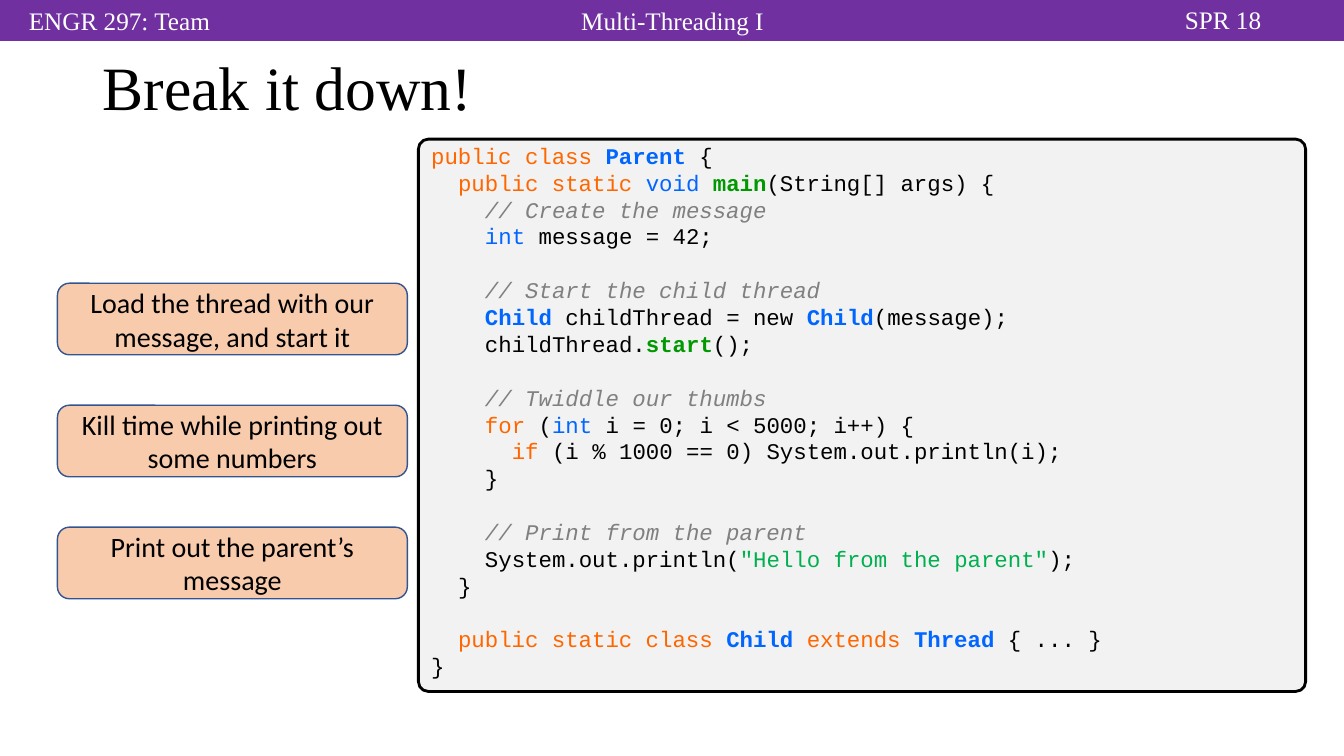
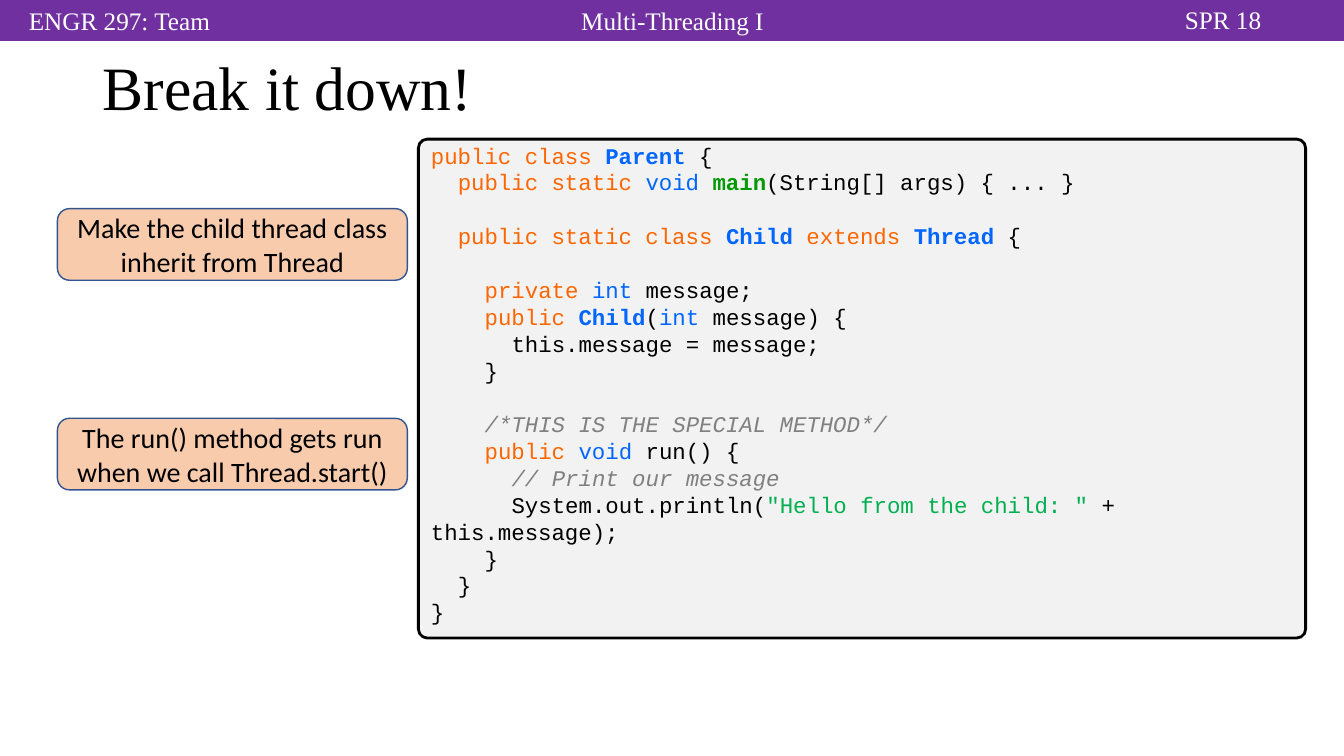
"""Build two slides that break a Java threading example into parts."""
from pptx import Presentation
from pptx.dml.color import RGBColor
from pptx.enum.shapes import MSO_SHAPE as Preset
from pptx.enum.text import MSO_ANCHOR as Anchor, PP_ALIGN as Align
from pptx.util import Inches, Pt

COLORS = {
    "band": "7030A0", "white": "FFFFFF", "black": "000000",
    "panel": "F2F2F2", "note": "F8CBAD", "note_line": "325491",
    "keyword": "FF6600", "type": "0066FF", "method": "009900",
    "comment": "808080", "string": "00B050",
}
SERIF, SANS, MONO = "Times New Roman", "Calibri", "Courier New"
SLIDE_WIDTH, BAND_HEIGHT = 13.33, 0.4
CODE_SIZE, CODE_PITCH = 16, 19.2
INDENT_STEP = Pt(2 * 0.6 * CODE_SIZE)

STYLES = {
    "plain": ("black", False, False),
    "keyword": ("keyword", False, False),
    "type": ("type", False, False),
    "class": ("type", True, False),
    "method": ("method", True, False),
    "comment": ("comment", False, True),
    "string": ("string", False, False),
}

HEADER_LABELS = [
    ("Multi-Threading I", (4.42, 0, 4.5, BAND_HEIGHT)),
    ("SPR 18", (10.92, -0.01, 2.42, BAND_HEIGHT)),
    ("ENGR 297: Team", (-0.05, 0, 2.47, BAND_HEIGHT)),
]

CLASS_PARENT = (0, ("public class ", "keyword"), ("Parent", "class"), " {")
MAIN_METHOD = (1, ("public static ", "keyword"), ("void ", "type"), ("main", "method"))
CLASS_CHILD = (1, ("public static class ", "keyword"), ("Child ", "class"),
               ("extends ", "keyword"), ("Thread", "class"))

PARENT_CODE = [
    CLASS_PARENT,
    (*MAIN_METHOD, "(String[] args) {"),
    (2, ("// Create the message", "comment")),
    (2, ("int", "type"), " message = 42;"),
    None,
    (2, ("// Start the child thread", "comment")),
    (2, ("Child", "class"), " childThread = new ", ("Child", "class"), "(message);"),
    (2, "childThread.", ("start", "method"), "();"),
    None,
    (2, ("// Twiddle our thumbs", "comment")),
    (2, ("for", "keyword"), " (", ("int", "type"), " i = 0; i < 5000; i++) {"),
    (3, ("if", "keyword"), " (i % 1000 == 0) System.out.println(i);"),
    (2, "}"),
    None,
    (2, ("// Print from the parent", "comment")),
    (2, "System.out.println(", ('"Hello from the parent"', "string"), ");"),
    (1, "}"),
    None,
    (*CLASS_CHILD, " { ... }"),
    (0, "}"),
]

CHILD_CODE = [
    CLASS_PARENT,
    (*MAIN_METHOD, "(String[] args) { ... }"),
    None,
    (*CLASS_CHILD, " {"),
    None,
    (2, ("private ", "keyword"), ("int", "type"), " message;"),
    (2, ("public ", "keyword"), ("Child", "class"), "(", ("int", "type"), " message) {"),
    (3, "this.message = message;"),
    (2, "}"),
    None,
    (2, ("/*THIS IS THE SPECIAL METHOD*/", "comment")),
    (2, ("public ", "keyword"), ("void", "type"), " run() {"),
    (3, ("// Print our message", "comment")),
    (3, "System.out.println(", ('"Hello from the child: "', "string"), " + this.message);"),
    (2, "}"),
    (1, "}"),
    (0, "}"),
]

PARENT_NOTES = [
    (2.81, "Load the thread with our message, and start it"),
    (4.02, "Kill time while printing out some numbers"),
    (5.23, "Print out the parent’s message"),
]
CHILD_NOTES = [
    (2.07, "Make the child thread class inherit from Thread"),
    (4.15, "The run() method gets run when we call Thread.start()"),
]


def rgb(name):
    return RGBColor.from_string(COLORS[name])


def add_run(paragraph, text, font, size, color, bold=False, italic=False):
    run = paragraph.add_run()
    run.text = text
    run.font.name = font
    run.font.size = Pt(size)
    run.font.color.rgb = rgb(color)
    run.font.bold = bold
    run.font.italic = italic


def add_box(slide, preset, place, fill, line, width):
    shape = slide.shapes.add_shape(preset, *map(Inches, place))
    shape.shadow.inherit = False
    shape.fill.solid()
    shape.fill.fore_color.rgb = rgb(fill)
    shape.line.color.rgb = rgb(line)
    shape.line.width = Pt(width)
    shape.text_frame.word_wrap = True
    return shape


def add_label(slide, text, place, size, color, align, anchor=Anchor.TOP):
    shape = slide.shapes.add_textbox(*map(Inches, place))
    frame = shape.text_frame
    frame.word_wrap = True
    frame.vertical_anchor = anchor
    paragraph = frame.paragraphs[0]
    paragraph.alignment = align
    add_run(paragraph, text, SERIF, size, color)
    return shape


def add_header(slide, layout):
    for placeholder in list(layout.placeholders):
        layout.shapes.element.remove(placeholder.element)
    band = add_box(slide, Preset.RECTANGLE, (0, 0, SLIDE_WIDTH, BAND_HEIGHT), "band", "band", 1)
    labels = [add_label(slide, text, place, 18, "white", Align.CENTER)
              for text, place in HEADER_LABELS]
    for shape in [band, *labels]:
        layout.shapes.element.append(shape.element)


def add_title(slide, text):
    title = add_label(slide, text, (0.92, 0.4, 11.5, 1), 44, "black", Align.LEFT, Anchor.MIDDLE)
    title.text_frame.paragraphs[0].line_spacing = 0.9


def add_code(slide, lines, height):
    panel = add_box(slide, Preset.ROUNDED_RECTANGLE, (4.15, 1.38, 8.8, height),
                    "panel", "black", 2)
    panel.adjustments[0] = 0.018
    frame = panel.text_frame
    frame.vertical_anchor = Anchor.TOP
    frame.margin_top = 0
    paragraph, gap = frame.paragraphs[0], 0
    for number, line in enumerate(lines):
        if line is None:
            gap = CODE_PITCH
            continue
        if number:
            paragraph = frame.add_paragraph()
        depth, *parts = line
        paragraph.alignment = Align.LEFT
        paragraph.line_spacing = Pt(CODE_PITCH)
        paragraph.space_before = Pt(gap)
        properties = paragraph._p.get_or_add_pPr()
        properties.set("marL", "0")
        properties.set("indent", str(depth * INDENT_STEP))
        for part in parts:
            text, style = (part, "plain") if isinstance(part, str) else part
            add_run(paragraph, text, MONO, CODE_SIZE, *STYLES[style])
        gap = 0


def add_note(slide, top, text):
    note = add_box(slide, Preset.ROUNDED_RECTANGLE, (0.57, top, 3.47, 0.71),
                   "note", "note_line", 1)
    note.text_frame.vertical_anchor = Anchor.MIDDLE
    paragraph = note.text_frame.paragraphs[0]
    paragraph.alignment = Align.CENTER
    add_run(paragraph, text, SANS, 20, "black")


def main():
    presentation = Presentation()
    presentation.slide_width = Inches(SLIDE_WIDTH)
    presentation.slide_height = Inches(7.5)
    layout = presentation.slide_layouts[6]
    contents = [(PARENT_CODE, 5.48, PARENT_NOTES), (CHILD_CODE, 4.95, CHILD_NOTES)]
    slides = [presentation.slides.add_slide(layout) for _ in contents]
    add_header(slides[0], layout)
    for slide, (code, height, notes) in zip(slides, contents):
        add_title(slide, "Break it down!")
        add_code(slide, code, height)
        for top, text in notes:
            add_note(slide, top, text)
    presentation.save("out.pptx")


if __name__ == "__main__":
    main()
